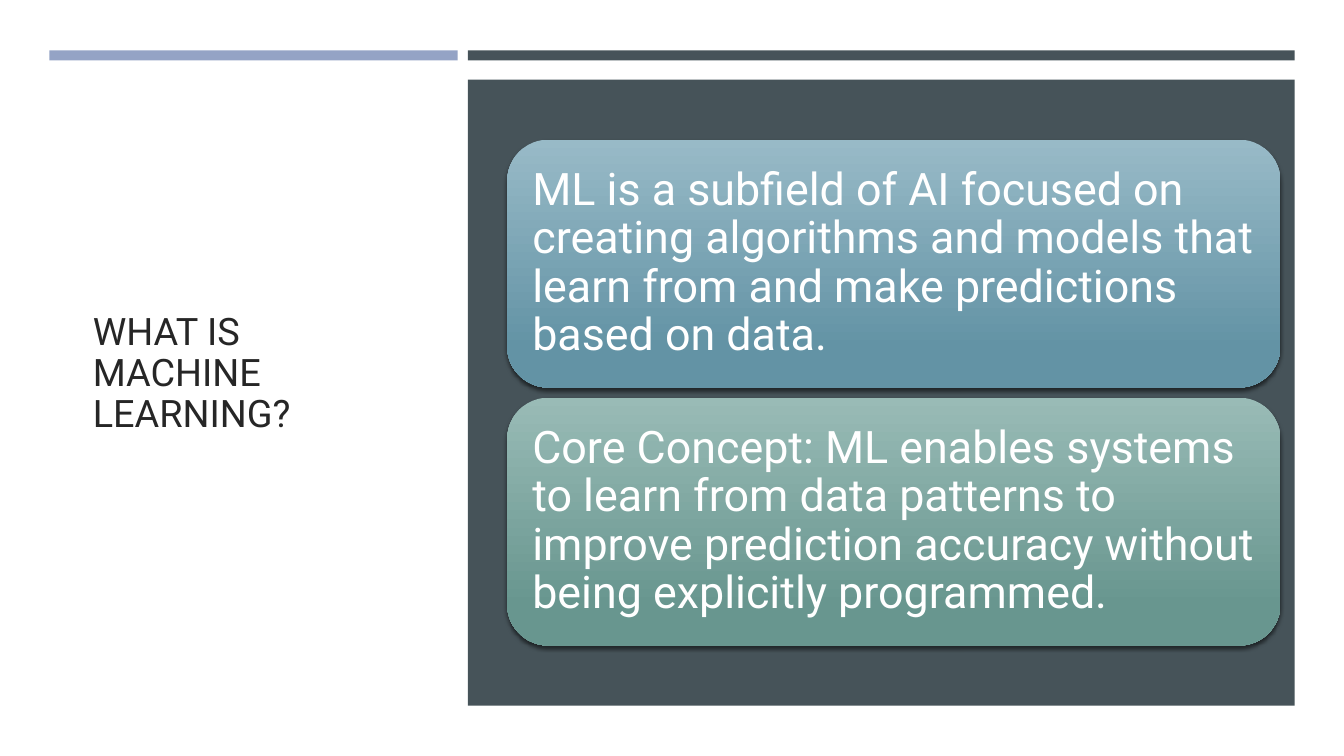
import pptx
import pptx.dml.color
import pptx.enum.shapes
import pptx.enum.text
import pptx.oxml
import pptx.oxml.ns
import pptx.util

Inches = pptx.util.Inches
RGBColor = pptx.dml.color.RGBColor
Shapes = pptx.enum.shapes.MSO_SHAPE

WHITE = RGBColor(0xFF, 0xFF, 0xFF)
INK = RGBColor(0x26, 0x26, 0x26)
SLATE = RGBColor(0x46, 0x53, 0x59)
LAVENDER = RGBColor(0x94, 0xA3, 0xC5)
BLUE_GRADIENT = (RGBColor(0x98, 0xBA, 0xC7), RGBColor(0x63, 0x93, 0xA5))
GREEN_GRADIENT = (RGBColor(0x99, 0xBB, 0xB6), RGBColor(0x68, 0x96, 0x8F))

FONT = "Roboto"
BAR_TOP = 0.5
BAR_HEIGHT = 0.1
CARD_GAP = 0.1

CARDS = [
    ("ML is a subfield of AI focused on creating algorithms and models that "
     "learn from and make predictions based on data.", BLUE_GRADIENT),
    ("Core Concept: ML enables systems to learn from data patterns to improve "
     "prediction accuracy without being explicitly programmed.", GREEN_GRADIENT),
]

SHADOW = (
    '<a:outerShdw %s blurRad="38100" dist="25400" dir="5400000" rotWithShape="0">'
    '<a:srgbClr val="000000"><a:alpha val="55000"/></a:srgbClr></a:outerShdw>'
    % pptx.oxml.ns.nsdecls("a")
)


def write_text(shape, text, size, color, inset):
    frame = shape.text_frame
    frame.word_wrap = True
    frame.auto_size = pptx.enum.text.MSO_AUTO_SIZE.NONE
    frame.vertical_anchor = pptx.enum.text.MSO_ANCHOR.MIDDLE
    frame.margin_left = frame.margin_right = Inches(inset)
    frame.margin_top = frame.margin_bottom = Inches(inset)
    paragraph = frame.paragraphs[0]
    paragraph.alignment = pptx.enum.text.PP_ALIGN.LEFT
    paragraph.line_spacing = 0.9
    run = paragraph.add_run()
    run.text = text
    run.font.name = FONT
    run.font.size = pptx.util.Pt(size)
    run.font.color.rgb = color


def add_block(slide, kind, left, top, width, height):
    shape = slide.shapes.add_shape(
        kind, Inches(left), Inches(top), Inches(width), Inches(height))
    shape.shadow.inherit = False
    shape.line.fill.background()
    return shape


def add_panel(slide, left, top, width, height, color):
    panel = add_block(slide, Shapes.RECTANGLE, left, top, width, height)
    panel.fill.solid()
    panel.fill.fore_color.rgb = color


def add_card(slide, left, top, width, height, text, gradient):
    card = add_block(slide, Shapes.ROUNDED_RECTANGLE, left, top, width, height)
    card.fill.gradient()
    card.fill.gradient_angle = 270
    for stop, color, position in zip(card.fill.gradient_stops, gradient, (0, 0.84)):
        stop.color.rgb = color
        stop.position = position
    effects = card._element.spPr.find(pptx.oxml.ns.qn("a:effectLst"))
    effects.append(pptx.oxml.parse_xml(SHADOW))
    write_text(card, text, 32, WHITE, 0.13)


def add_title_region(slide, left, width):
    title = slide.shapes.title
    title.left, title.top = Inches(left + 0.33), Inches(1.14)
    title.width, title.height = Inches(width - 0.71), Inches(5.15)
    write_text(title, "WHAT IS MACHINE LEARNING?", 27, INK, 0.1)
    add_panel(slide, left, BAR_TOP, width, BAR_HEIGHT, LAVENDER)


def add_content_region(slide, left, width):
    panel_top, panel_height = 0.79, 6.21
    add_panel(slide, left, BAR_TOP, width, BAR_HEIGHT, SLATE)
    add_panel(slide, left, panel_top, width, panel_height, SLATE)
    card_height = 2.46
    stack_height = len(CARDS) * (card_height + CARD_GAP) - CARD_GAP
    first_top = panel_top + (panel_height - stack_height) / 2
    for index, (text, gradient) in enumerate(CARDS):
        top = first_top + index * (card_height + CARD_GAP)
        add_card(slide, left + 0.39, top, width - 0.53, card_height, text, gradient)


def main():
    presentation = pptx.Presentation()
    presentation.slide_width = Inches(13.33)
    presentation.slide_height = Inches(7.5)
    slide = presentation.slides.add_slide(presentation.slide_layouts[5])
    slide.background.fill.solid()
    slide.background.fill.fore_color.rgb = WHITE
    add_title_region(slide, 0.49, 4.05)
    add_content_region(slide, 4.64, 8.2)
    presentation.save("out.pptx")


if __name__ == "__main__":
    main()
